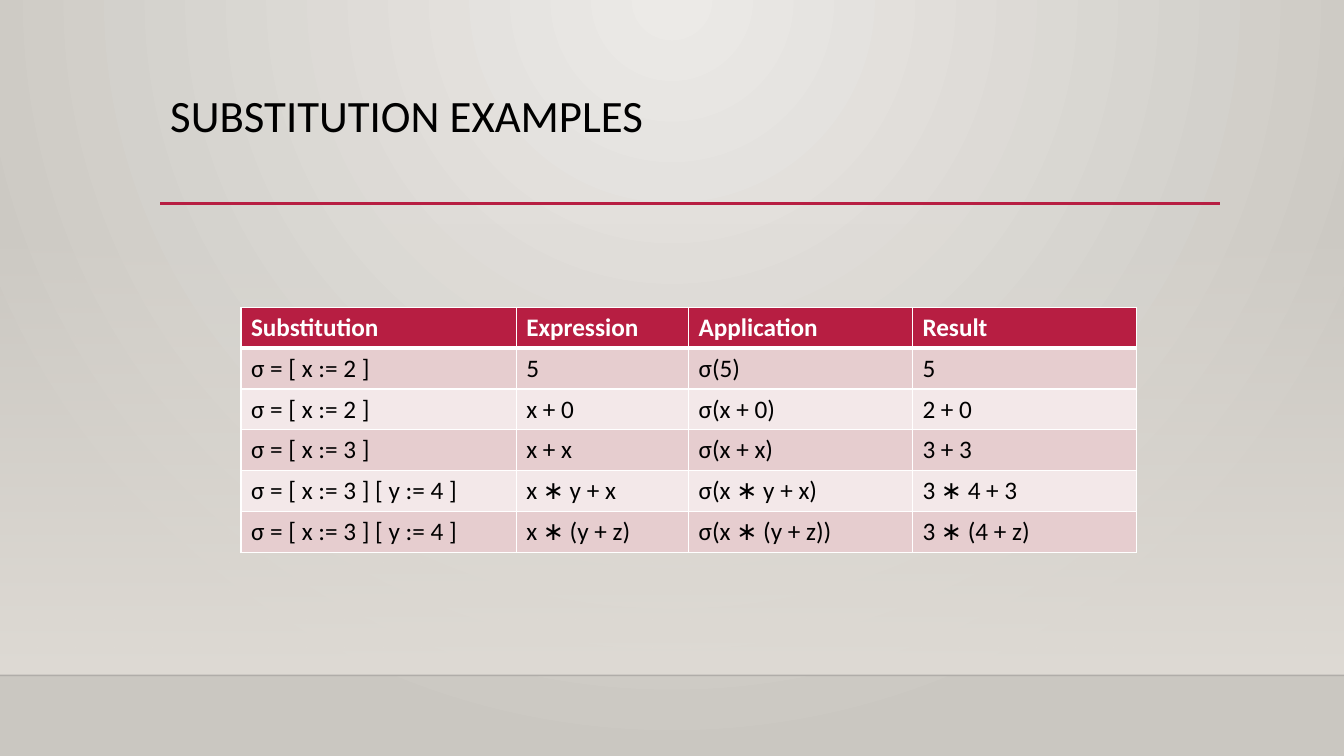
from dataclasses import dataclass

from lxml.etree import SubElement
from pptx import Presentation
from pptx.dml.color import RGBColor
from pptx.dml.fill import FillFormat
from pptx.enum.shapes import MSO_CONNECTOR, MSO_SHAPE
from pptx.enum.text import MSO_ANCHOR
from pptx.oxml import parse_xml
from pptx.oxml.ns import nsdecls, qn
from pptx.slide import Slide
from pptx.table import _Cell
from pptx.text.text import TextFrame
from pptx.util import Inches, Pt

HUES = {
    "red": "B71E42",
    "rose": "E6CDCF",
    "blush": "F3E8E9",
    "white": "FFFFFF",
    "black": "000000",
    "edge": "000001",
    "light": "ECEAE7",
    "dark": "CAC7C1",
    "sand": "DFDBD5",
}
COLS = (2.73, 1.71, 2.22, 2.22)
HEIGHT = 0.405
ROWS = (
    ("Substitution", "Expression", "Application", "Result"),
    ("σ = [ x := 2 ]", "5", "σ(5)", "5"),
    ("σ = [ x := 2 ]", "x + 0", "σ(x + 0)", "2 + 0"),
    ("σ = [ x := 3 ]", "x + x", "σ(x + x)", "3 + 3"),
    ("σ = [ x := 3 ] [ y := 4 ]", "x ∗ y + x", "σ(x ∗ y + x)", "3 ∗ 4 + 3"),
    ("σ = [ x := 3 ] [ y := 4 ]", "x ∗ (y + z)", "σ(x ∗ (y + z))", "3 ∗ (4 + z)"),
)


@dataclass
class Rule:
    left: float
    right: float
    top: float
    hue: str
    width: float
    alpha: int = 100


RULES = (
    Rule(0, 13.33, 6.7, "edge", 1, 20),
    Rule(1.59, 12.1, 2.02, "red", 2.5),
)


def color(name: str) -> RGBColor:
    return RGBColor.from_string(HUES[name])


def blend(fill: FillFormat, first: str, last: str) -> None:
    fill.gradient()
    for stop, name, place in zip(fill.gradient_stops, (first, last), (0, 1)):
        stop.color.rgb = color(name)
        stop.position = place


def fade(node, share: int) -> None:
    SubElement(node, qn("a:alpha"), val=str(share * 1000))


def write(frame: TextFrame, text: str, *, size: float, hue: str,
          bold: bool = False, space: float = 1) -> None:
    para = frame.paragraphs[0]
    para.line_spacing = space
    run = para.add_run()
    run.text = text
    run.font.name = "Calibri"
    run.font.size = Pt(size)
    run.font.bold = bold
    run.font.color.rgb = color(hue)


def paint(slide: Slide) -> None:
    blend(slide.background.fill, "light", "dark")
    line = next(slide.background._cSld.iter(qn("a:lin")))
    line.getparent().replace(line, parse_xml(
        f'<a:path {nsdecls("a")} path="circle">'
        '<a:fillToRect l="43000" t="0" r="43000" b="100000"/></a:path>'))
    veil = slide.shapes.add_shape(
        MSO_SHAPE.RECTANGLE, 0, Inches(2.21), Inches(13.33), Inches(4.49))
    veil.shadow.inherit = False
    veil.line.fill.background()
    blend(veil.fill, "sand", "sand")
    veil.fill.gradient_angle = 270
    fade(next(veil._element.spPr.iter(qn("a:srgbClr"))), 0)


def draw(slide: Slide, rule: Rule) -> None:
    line = slide.shapes.add_connector(
        MSO_CONNECTOR.STRAIGHT, Inches(rule.left), Inches(rule.top),
        Inches(rule.right), Inches(rule.top))
    line.line.color.rgb = color(rule.hue)
    line.line.width = Pt(rule.width)
    props = line._element.spPr
    if rule.alpha < 100:
        fade(next(props.iter(qn("a:srgbClr"))), rule.alpha)
    SubElement(props, qn("a:effectLst"))


def border(cell: _Cell, row: int) -> None:
    thick = {"T": 3 if row == 1 else 1, "B": 3 if row == 0 else 1}
    for spot, side in enumerate("LRTB"):
        cell._tc.get_or_add_tcPr().insert(spot, parse_xml(
            f'<a:ln{side} {nsdecls("a")} w="{Pt(thick.get(side, 1))}">'
            f'<a:solidFill><a:srgbClr val="{HUES["white"]}"/></a:solidFill>'
            f'</a:ln{side}>'))


def tabulate(slide: Slide) -> None:
    grid = slide.shapes.add_table(
        len(ROWS), len(COLS), Inches(2.39), Inches(3.05),
        Inches(sum(COLS)), Inches(HEIGHT * len(ROWS))).table
    for col, width in zip(grid.columns, COLS):
        col.width = Inches(width)
    for row, texts in enumerate(ROWS):
        grid.rows[row].height = Inches(HEIGHT)
        head = row == 0
        hue = "red" if head else "rose" if row % 2 else "blush"
        for col, text in enumerate(texts):
            cell = grid.cell(row, col)
            cell.fill.solid()
            cell.fill.fore_color.rgb = color(hue)
            border(cell, row)
            write(cell.text_frame, text, size=18, bold=head,
                  hue="white" if head else "black")


def main() -> None:
    deck = Presentation()
    deck.slide_width = Inches(13.33)
    deck.slide_height = Inches(7.5)
    slide = deck.slides.add_slide(deck.slide_layouts[6])
    paint(slide)
    for rule in RULES:
        draw(slide, rule)
    title = slide.shapes.add_textbox(
        Inches(1.59), Inches(0.88), Inches(10.5), Inches(1.15)).text_frame
    title.word_wrap = True
    title.vertical_anchor = MSO_ANCHOR.TOP
    write(title, "SUBSTITUTION EXAMPLES", size=32, hue="black", space=0.9)
    tabulate(slide)
    deck.save("out.pptx")


if __name__ == "__main__":
    main()
